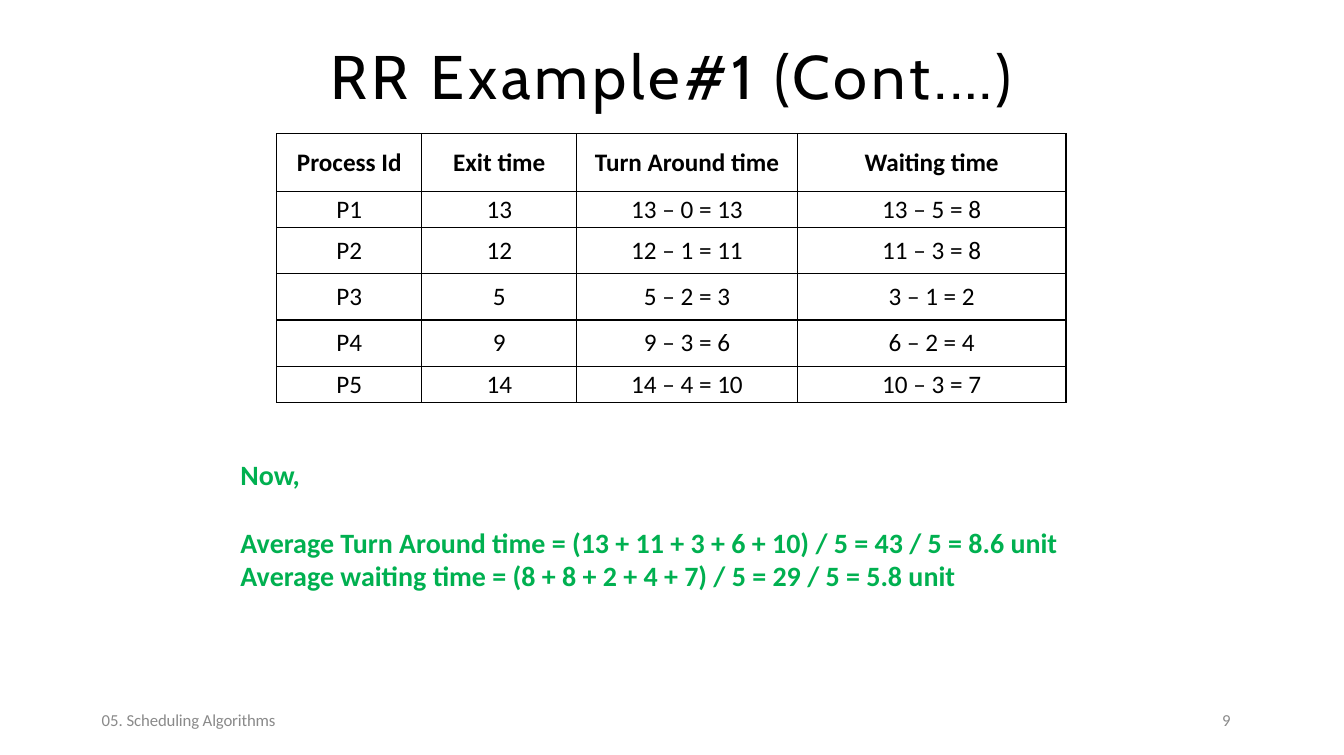
import dataclasses

import lxml.etree
import pptx
import pptx.dml.color
import pptx.enum.text
import pptx.oxml.ns
import pptx.util

ALIGN = pptx.enum.text.PP_ALIGN
PX = 9144


@dataclasses.dataclass(frozen=True)
class Theme:
    title_font: str = "Cabin"
    body_font: str = "Calibri"
    ink: str = "000000"
    muted: str = "8A8A8A"
    accent: str = "00B050"
    title_size: int = 44
    summary_size: int = 20
    table_size: int = 18
    footer_size: int = 12


class Deck:
    def __init__(self, theme, width, height):
        self.theme = theme
        self.prs = pptx.Presentation()
        self.prs.slide_width = width * PX
        self.prs.slide_height = height * PX
        self.s = self.prs.slides.add_slide(self.prs.slide_layouts[6])

    def run(self, p, text, size, color, bold=False, font=None, spacing=0):
        r = p.add_run()
        r.text = text
        r.font.name = font or self.theme.body_font
        r.font.size = pptx.util.Pt(size)
        r.font.bold = bold
        r.font.color.rgb = pptx.dml.color.RGBColor.from_string(color)
        if spacing:
            r.font._element.set("spc", str(round(spacing * 100)))

    def box(self, x, y, w, h, insets):
        sp = self.s.shapes.add_textbox(x * PX, y * PX, w * PX, h * PX)
        tf = sp.text_frame
        tf.word_wrap = True
        tf.margin_left, tf.margin_top, tf.margin_right, tf.margin_bottom = (
            i * PX for i in insets)
        return tf

    def title(self, text, x, y, w, h):
        p = self.box(x, y, w, h, (0, 10, 0, 0)).paragraphs[0]
        p.alignment = ALIGN.CENTER
        p.line_spacing = pptx.util.Pt(47.5)
        self.run(p, text, self.theme.title_size, self.theme.ink,
                 font=self.theme.title_font, spacing=2.8)

    def footer(self, runs, x, y, w, h, indent):
        p = self.box(x, y, w, h, (0, 0, 0, 0)).paragraphs[0]
        p._p.get_or_add_pPr().set("marL", str(indent * PX))
        p.line_spacing = pptx.util.Pt(12.4)
        for text, spacing in runs:
            self.run(p, text, self.theme.footer_size, self.theme.muted, spacing=spacing)

    def summary(self, lines, x, y, w, h):
        tf = self.box(x, y, w, h, (10, 5, 10, 5))
        for i, (text, before) in enumerate(lines):
            p = tf.add_paragraph() if i else tf.paragraphs[0]
            if before:
                p.space_before = pptx.util.Pt(before)
            self.run(p, text, self.theme.summary_size, self.theme.accent, bold=True)

    def border(self, cell):
        tcPr = cell._tc.get_or_add_tcPr()
        qn = pptx.oxml.ns.qn
        for side in ("a:lnL", "a:lnR", "a:lnT", "a:lnB"):
            ln = lxml.etree.SubElement(tcPr, qn(side), w=str(pptx.util.Pt(1)))
            fill = lxml.etree.SubElement(ln, qn("a:solidFill"))
            lxml.etree.SubElement(fill, qn("a:srgbClr"), val=self.theme.ink)

    def table(self, rows, x, y, widths, heights):
        tbl = self.s.shapes.add_table(
            len(rows), len(widths), x * PX, y * PX,
            sum(widths) * PX, sum(heights) * PX).table
        tbl.horz_banding = False
        for col, w in zip(tbl.columns, widths):
            col.width = w * PX
        for i, (row, h, texts) in enumerate(zip(tbl.rows, heights, rows)):
            row.height = h * PX
            for cell, text in zip(row.cells, texts):
                cell.margin_left = cell.margin_right = 3 * PX
                cell.margin_top = cell.margin_bottom = 3 * PX
                cell.vertical_anchor = pptx.enum.text.MSO_ANCHOR.MIDDLE
                self.border(cell)
                cell.fill.background()
                p = cell.text_frame.paragraphs[0]
                p.alignment = ALIGN.CENTER
                self.run(p, text, self.theme.table_size, self.theme.ink, bold=i == 0)


def main():
    deck = Deck(Theme(), 1335, 750)
    deck.title("RR Example#1 (Cont.…)", 207, 35, 921, 77)
    deck.footer([("05. ", 0), ("Scheduling Algorithms", -0.1)], 100, 708, 179, 19, 1)
    deck.footer([("9", 0)], 1210, 708, 25, 19, 4)
    deck.table(
        [
            ("Process Id", "Exit time", "Turn Around time", "Waiting time"),
            ("P1", "13", "13 – 0 = 13", "13 – 5 = 8"),
            ("P2", "12", "12 – 1 = 11", "11 – 3 = 8"),
            ("P3", "5", "5 – 2 = 3", "3 – 1 = 2"),
            ("P4", "9", "9 – 3 = 6", "6 – 2 = 4"),
            ("P5", "14", "14 – 4 = 10", "10 – 3 = 7"),
        ],
        275, 133, (144, 154, 219, 267), (57, 34, 46, 46, 46, 33))
    deck.summary(
        [
            ("Now,", 0),
            ("Average Turn Around time = (13 + 11 + 3 + 6 + 10) / 5 = 43 / 5 = 8.6 unit", 24),
            ("Average waiting time = (8 + 8 + 2 + 4 + 7) / 5 = 29 / 5 = 5.8 unit", 0),
        ],
        229, 450, 876, 145)
    deck.prs.save("out.pptx")


if __name__ == "__main__":
    main()
